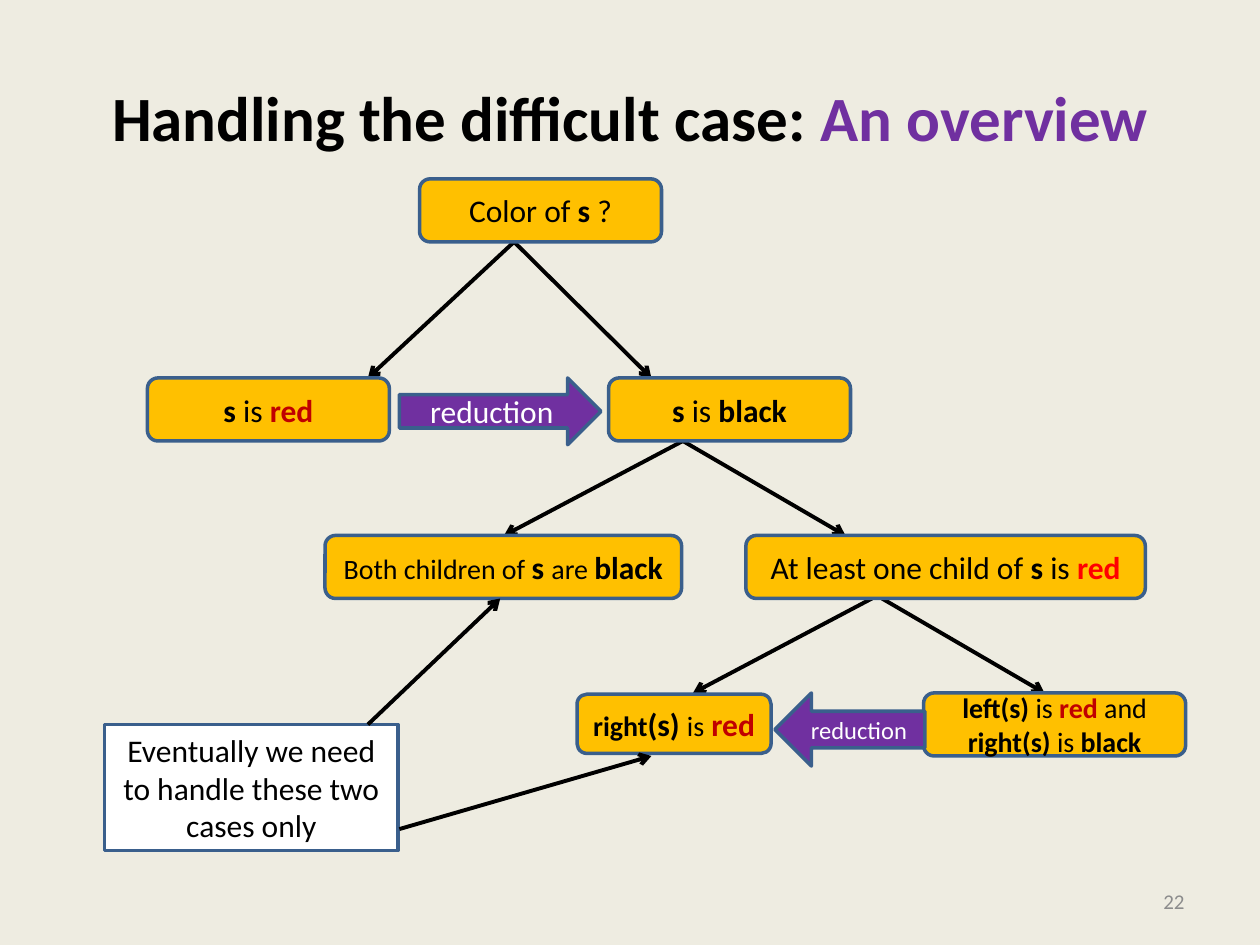
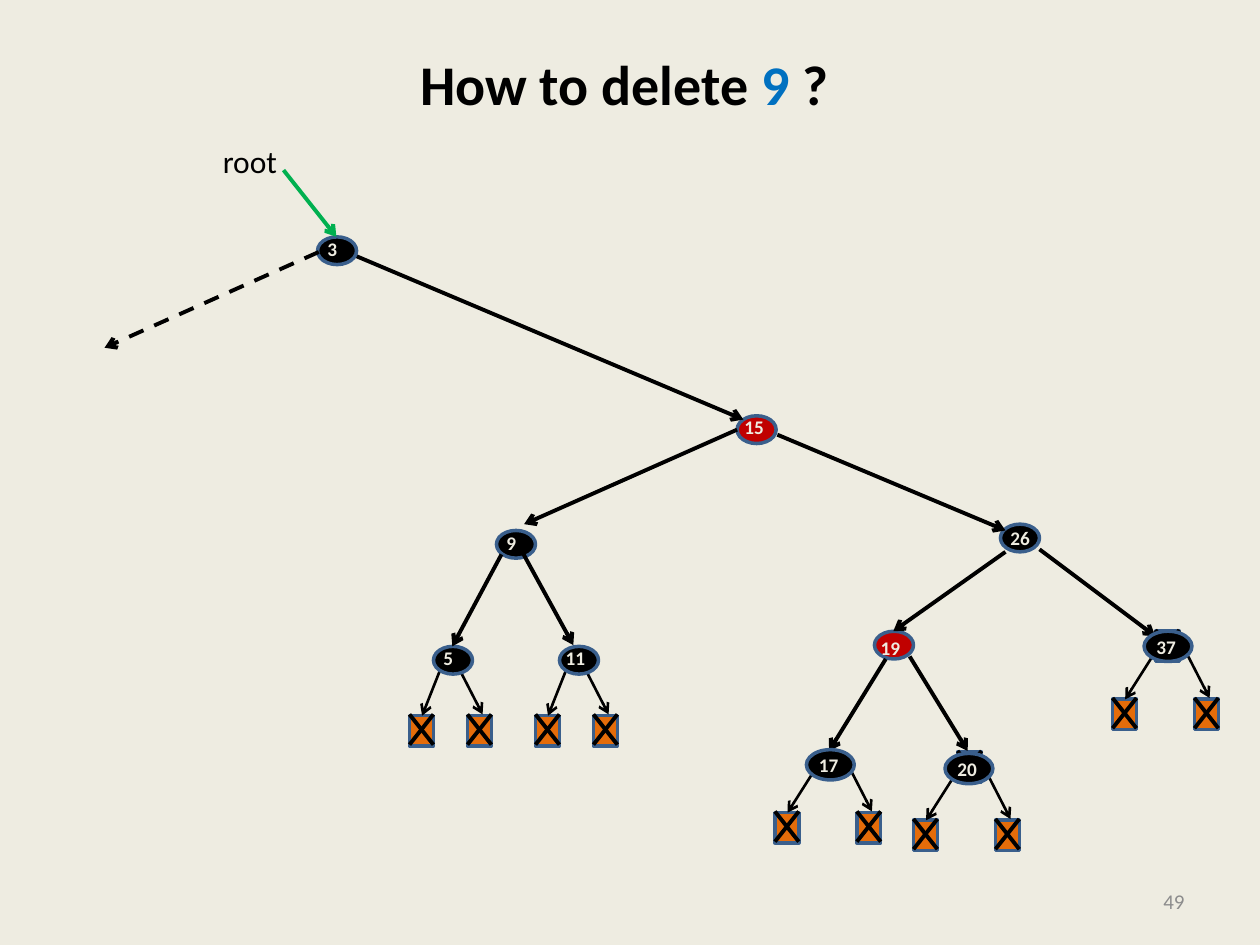
from lxml.etree import SubElement
from pptx import Presentation
from pptx.dml.color import RGBColor
from pptx.enum.dml import MSO_LINE
from pptx.enum.shapes import MSO_CONNECTOR, MSO_SHAPE
from pptx.enum.text import MSO_ANCHOR, MSO_AUTO_SIZE, PP_ALIGN
from pptx.oxml.ns import qn
from pptx.util import Inches, Pt

BACKGROUND = RGBColor(0xEE, 0xEC, 0xE1)
BLACK = RGBColor(0x00, 0x00, 0x00)
WHITE = RGBColor(0xFF, 0xFF, 0xFF)
GREY = RGBColor(0x8C, 0x8C, 0x8C)
OUTLINE = RGBColor(0x3A, 0x5F, 0x8C)
GOLD = RGBColor(0xFF, 0xC0, 0x00)
PURPLE = RGBColor(0x70, 0x30, 0xA0)
DARK_RED = RGBColor(0xC0, 0x00, 0x00)
RED = RGBColor(0xFF, 0x00, 0x00)
BLUE = RGBColor(0x00, 0x70, 0xC0)
GREEN = RGBColor(0x00, 0xB0, 0x50)
ORANGE = RGBColor(0xE4, 0x6C, 0x0A)
FONT = "Calibri"


class Deck:
    """Holds the shared style and the slide being drawn."""

    def __init__(self):
        self.presentation = Presentation()
        self.presentation.slide_width = Inches(10)
        self.presentation.slide_height = Inches(7.5)
        self.slide = None

    def new_slide(self, number, title_runs, title_size, left, width):
        layout = self.presentation.slide_layouts[5]
        self.slide = self.presentation.slides.add_slide(layout)
        self.slide.background.fill.solid()
        self.slide.background.fill.fore_color.rgb = BACKGROUND
        title = self.slide.shapes.title
        title.left, title.top = Inches(left), Inches(0.3)
        title.width, title.height = Inches(width), Inches(1.25)
        self.fill_text(title, title_runs, title_size, bold=True)
        footer = self.text(7.17, 6.95, 2.33, 0.4, str(number), 12, GREY)
        footer.text_frame.vertical_anchor = MSO_ANCHOR.MIDDLE
        footer.text_frame.paragraphs[0].alignment = PP_ALIGN.RIGHT
        return title

    def fill_text(self, shape, runs, size, color=BLACK, bold=False,
                  alignment=PP_ALIGN.CENTER, anchor=MSO_ANCHOR.MIDDLE):
        """Each run is a string or (string, changes of color, bold or size)."""
        frame = shape.text_frame
        frame.word_wrap = True
        frame.vertical_anchor = anchor
        paragraph = frame.paragraphs[0]
        paragraph.alignment = alignment
        for item in [runs] if isinstance(runs, str) else runs:
            words, changes = (item, {}) if isinstance(item, str) else item
            run = paragraph.add_run()
            run.text = words
            run.font.name = FONT
            run.font.size = Pt(changes.get("size", size))
            run.font.bold = changes.get("bold", bold)
            run.font.color.rgb = changes.get("color", color)

    def text(self, left, top, width, height, words, size, color=BLACK, bold=False):
        box = self.slide.shapes.add_textbox(
            Inches(left), Inches(top), Inches(width), Inches(height))
        self.fill_text(box, words, size, color, bold, PP_ALIGN.LEFT, MSO_ANCHOR.TOP)
        return box

    def label(self, left, top, width, height, words, size, color=BLACK, bold=False):
        box = self.text(left, top, width, height, words, size, color, bold)
        box.text_frame.word_wrap = False
        box.text_frame.auto_size = MSO_AUTO_SIZE.SHAPE_TO_FIT_TEXT

    def shape(self, kind, left, top, width, height, fill, runs=(), size=18, color=BLACK):
        shape = self.slide.shapes.add_shape(
            kind, Inches(left), Inches(top), Inches(width), Inches(height))
        shape.shadow.inherit = False
        shape.fill.solid()
        shape.fill.fore_color.rgb = fill
        shape.line.color.rgb = OUTLINE
        shape.line.width = Pt(2)
        self.fill_text(shape, runs, size, color)

    def case(self, left, top, width, runs, size=18, height=0.5):
        self.shape(MSO_SHAPE.ROUNDED_RECTANGLE, left, top, width, height, GOLD, runs, size)

    def line(self, start, end, color=BLACK, width=2.25, arrow=True, dashed=False):
        ends = [Inches(value) for value in (*start, *end)]
        connector = self.slide.shapes.add_connector(MSO_CONNECTOR.STRAIGHT, *ends)
        connector.line.color.rgb = color
        connector.line.width = Pt(width)
        if dashed:
            connector.line.dash_style = MSO_LINE.DASH
        properties = connector.element.spPr
        if arrow:
            SubElement(properties.find(qn("a:ln")), qn("a:tailEnd"), type="arrow")
        SubElement(properties, qn("a:effectLst"))

    def node(self, left, top, fill, width=0.31, height=0.22):
        self.shape(MSO_SHAPE.OVAL, left, top, width, height, fill)

    def key(self, left, top, value):
        width = 0.36 if value > 9 else 0.28
        self.label(left, top, width, 0.29, str(value), 11, BACKGROUND, True)

    def leaf(self, left, top):
        """An empty leaf: a crossed square."""
        self.shape(MSO_SHAPE.RECTANGLE, left, top, 0.19, 0.24, ORANGE)
        right, upper, lower = left + 0.19, top - 0.01, top + 0.23
        self.line((right, upper), (left, lower), arrow=False)
        self.line((left, upper), (right, lower), arrow=False)

    def leaf_pair(self, left, top, gap, inset, rise):
        right = left + gap
        self.leaf(left, top)
        self.line((left + inset, top - rise), (left + 0.1, top), width=1.5)
        self.leaf(right, top)
        self.line((right - 0.07, top - 0.38), (right + 0.12, top - 0.01), width=1.5)


def strong(words, color=BLACK, **changes):
    return words, {"bold": True, "color": color, **changes}


def build_overview(deck):
    deck.new_slide(22, ["Handling the difficult case: ", strong("An overview", PURPLE)],
                   36, 0.5, 9)

    # Branches of the decision tree
    for start, end in [
        ((4.08, 1.92), (2.92, 3)), ((4.08, 1.92), (5.17, 3)),
        ((5.42, 3.5), (4, 4.25)), ((5.42, 3.5), (6.71, 4.25)),
        ((6.92, 4.75), (5.5, 5.5)), ((7, 4.75), (8.29, 5.5)),
    ]:
        deck.line(start, end)

    # Cases
    s = strong("s ")
    deck.case(3.33, 1.42, 1.92, ["Color of ", s, "?"])
    deck.case(1.17, 3, 1.92, [s, "is ", strong("red", DARK_RED)])
    deck.case(4.83, 3, 1.92, [s, "is ", strong("black")])
    deck.case(2.58, 4.25, 2.83, ["Both children of ", strong("s ", size=18), "are ",
                                 strong("black", size=18)], 16)
    deck.case(5.92, 4.25, 3.17, ["At least one child of ", s, "is ", strong("red", RED)])
    deck.case(4.58, 5.51, 1.54, [strong("right"), strong("(s) ", size=18), "is",
                                 (" ", {"size": 18}),
                                 strong("red", DARK_RED, size=18)], 16, 0.47)
    deck.case(7.33, 5.5, 2.08, [strong("left(s) "), "is ", strong("red ", DARK_RED), "and ",
                                strong("right(s) "), "is", strong(" black")], 16)

    # Reductions
    deck.shape(MSO_SHAPE.RIGHT_ARROW, 3.17, 3, 1.6, 0.53, PURPLE, "reduction", 18, WHITE)
    deck.shape(MSO_SHAPE.LEFT_ARROW, 6.15, 5.5, 1.19, 0.58, PURPLE, "reduction", 14, WHITE)

    # Remark on the two remaining cases
    deck.shape(MSO_SHAPE.RECTANGLE, 0.83, 5.75, 2.33, 1, WHITE,
               "Eventually we need to handle these two cases only")
    deck.line((2.92, 5.75), (3.97, 4.75))
    deck.line((3.17, 6.58), (5.17, 6))


def build_deletion(deck):
    title = deck.new_slide(49, ["How to delete ", strong("9 ", BLUE), "?"], 32, 0.08, 9.75)
    title.text_frame.margin_bottom = Inches(0.58)

    # Leaves under 5 and 11, and those behind 20 and 37
    for left in (3.25, 4.25):
        deck.leaf_pair(left, 5.68, gap=0.46, inset=0.25, rise=0.38)
    deck.leaf(7.6, 5.97)
    deck.leaf(9.17, 5.01)

    # Inner nodes: place, colour
    for left, top, fill in [
        (5.85, 3.3, DARK_RED), (7.94, 4.16, BLACK), (6.94, 5.01, DARK_RED),
        (3.94, 4.21, BLACK), (3.44, 5.13, BLACK), (4.44, 5.13, BLACK),
    ]:
        deck.node(left, top, fill)

    # Edges
    for start, end in [
        ((2.75, 2), (5.9, 3.33)),
        ((5.85, 3.41), (4.16, 4.16)), ((6.17, 3.45), (7.98, 4.21)),
        ((3.98, 4.4), (3.59, 5.13)), ((4.15, 4.39), (4.55, 5.12)),
        ((7.98, 4.38), (7.09, 5.01)), ((8.25, 4.36), (9.17, 5.05)),
        ((7.03, 5.23), (6.58, 5.96)), ((7.22, 5.21), (7.68, 5.96)),
    ]:
        deck.line(start, end)

    # Keys of the inner nodes
    for left, top, value in [
        (5.81, 3.25, 15), (7.92, 4.13, 26), (6.89, 5, 19),
        (3.92, 4.17, 9), (3.42, 5.08, 5), (4.39, 5.08, 11),
    ]:
        deck.key(left, top, value)

    # Wider nodes with their leaves
    for left, top, leaf_top, value in [
        (9.08, 5.01, 5.55, 37), (7.5, 5.98, 6.51, 20), (6.4, 5.95, 6.45, 17),
    ]:
        deck.leaf_pair(left - 0.25, leaf_top, gap=0.65, inset=0.31, rise=0.33)
        deck.node(left, top, BLACK, 0.38, 0.24)
        deck.key(left, top - 0.02, value)

    # Root
    deck.node(2.52, 1.88, BLACK)
    deck.key(2.5, 1.83, 3)
    deck.line((2.53, 2), (0.83, 2.76), dashed=True)
    deck.line((2.25, 1.35), (2.67, 1.88), GREEN)
    deck.label(1.67, 1.08, 0.64, 0.4, "root", 18)


def main():
    deck = Deck()
    build_overview(deck)
    build_deletion(deck)
    deck.presentation.save("out.pptx")


if __name__ == "__main__":
    main()
